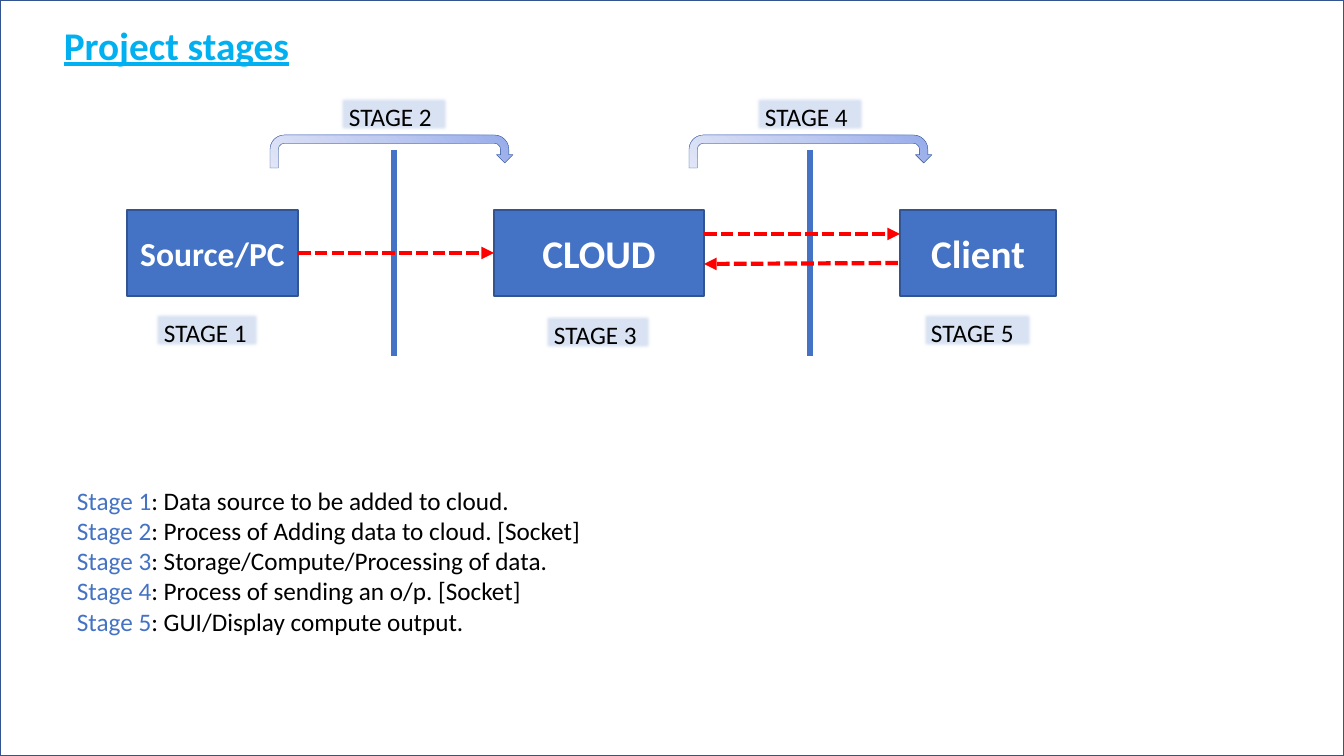
import copy
import pptx
import pptx.util
import pptx.dml.color
import pptx.enum.dml
import pptx.enum.shapes
import pptx.enum.text
import pptx.oxml.ns
import pptx.oxml.xmlchemy

RGB = pptx.dml.color.RGBColor
MSO = pptx.enum.shapes.MSO_SHAPE
ALIGN = pptx.enum.text.PP_ALIGN
ANCHOR = pptx.enum.text.MSO_ANCHOR
FIT = pptx.enum.text.MSO_AUTO_SIZE
DASH = pptx.enum.dml.MSO_LINE
Pt = pptx.util.Pt
qn = pptx.oxml.ns.qn

BLUE = RGB(0x44, 0x72, 0xC4)
NAVY = RGB(0x32, 0x54, 0x91)
SKY = RGB(0x00, 0xB0, 0xF0)
PALE = RGB(0xDA, 0xE3, 0xF3)
RED = RGB(0xFF, 0, 0)
BLACK = RGB(0, 0, 0)
WHITE = RGB(0xFF, 0xFF, 0xFF)
FADE = [(0, RGB(0x96, 0xAB, 0xEA)), (0.5, RGB(0xC0, 0xCB, 0xF0)),
        (1, RGB(0xE0, 0xE5, 0xF7))]


def px(*nums):
    """Turn pixels into EMU."""
    return [round(n * 914400 / 100.8) for n in nums]


def node(tag, **attrs):
    """Make a drawing element with the given attributes."""
    item = pptx.oxml.xmlchemy.OxmlElement(tag)
    for key, val in attrs.items():
        item.set(key, val)
    return item


class Board:
    """The slide in hand and its style."""

    font = "Calibri"

    def __init__(self, slide):
        """Keep the slide to draw on."""
        self.slide = slide

    def style(self, para, size, color, bold=False):
        """Set the font of a paragraph."""
        font = para.font
        font.name, font.size, font.bold = self.font, Pt(size), bold
        font.color.rgb = color

    def shape(self, kind, area, fill=None, line=None, width=1):
        """Add a preset shape without a shadow."""
        shape = self.slide.shapes.add_shape(kind, *px(*area))
        shape.shadow.inherit = False
        if fill is None:
            shape.fill.background()
        else:
            shape.fill.solid()
            shape.fill.fore_color.rgb = fill
        if line is None:
            shape.line.fill.background()
        else:
            shape.line.color.rgb = line
            shape.line.width = Pt(width)
        return shape

    def box(self, text, area, size):
        """Add a blue box with a bold centred name."""
        frame = self.shape(MSO.RECTANGLE, area, BLUE, NAVY).text_frame
        frame.vertical_anchor = ANCHOR.MIDDLE
        para = frame.paragraphs[0]
        para.text, para.alignment = text, ALIGN.CENTER
        self.style(para, size, WHITE, True)

    def label(self, text, area):
        """Add a pale stage label with soft edges."""
        shape = self.shape(MSO.RECTANGLE, area, PALE)
        soft = node("a:softEdge", rad="31750")
        shape._element.spPr.find(qn("a:effectLst")).append(soft)
        frame = shape.text_frame
        frame.word_wrap, frame.auto_size = True, FIT.SHAPE_TO_FIT_TEXT
        frame.vertical_anchor = ANCHOR.TOP
        para = frame.paragraphs[0]
        para.text, para.alignment = text, ALIGN.LEFT
        self.style(para, 18, BLACK)

    def turn(self, area):
        """Add a U-turn arrow that fades to its tail."""
        shape = self.shape(MSO.U_TURN_ARROW, area, line=NAVY, width=0.25)
        for i, val in enumerate((0.25, 0.25, 0.25, 0.438, 0.849)):
            shape.adjustments[i] = val
        fill = shape.fill
        fill.gradient()
        fill.gradient_angle = 225
        first = shape._element.spPr.find(".//" + qn("a:gs"))
        first.addnext(copy.deepcopy(first))
        for stop, (pos, color) in zip(fill.gradient_stops, FADE):
            stop.position, stop.color.rgb = pos, color

    def line(self, ends, color, width, arrow=False):
        """Add a line, or a dashed arrow."""
        kind = pptx.enum.shapes.MSO_CONNECTOR.STRAIGHT
        line = self.slide.shapes.add_connector(kind, *px(*ends))
        line.line.color.rgb, line.line.width = color, Pt(width)
        props = line._element.spPr
        props.append(node("a:effectLst"))
        if arrow:
            line.line.dash_style = DASH.SQUARE_DOT
            props.find(qn("a:ln")).append(node("a:tailEnd", type="triangle"))

    def text(self, area):
        """Add a text box that grows with its text."""
        frame = self.slide.shapes.add_textbox(*px(*area)).text_frame
        frame.word_wrap, frame.auto_size = False, FIT.SHAPE_TO_FIT_TEXT
        return frame

    def title(self, text, area):
        """Add the underlined title."""
        para = self.text(area).paragraphs[0]
        para.text = text
        self.style(para, 28, SKY, True)
        para.font.underline = True

    def notes(self, lines, area):
        """Add the list of numbered stages."""
        frame = self.text(area)
        for i, line in enumerate(lines):
            para = frame.add_paragraph() if i else frame.paragraphs[0]
            self.style(para, 18, BLACK)
            head = para.add_run()
            head.text = f"Stage {i + 1}"
            head.font.color.rgb = BLUE
            para.add_run().text = f": {line}"


def main():
    """Build the slide and save it."""
    deck = pptx.Presentation()
    deck.slide_width, deck.slide_height = px(1344, 756)
    board = Board(deck.slides.add_slide(deck.slide_layouts[6]))

    board.title("Project stages", (54, 16, 248, 57))
    board.shape(MSO.RECTANGLE, (0, 0, 1344, 756), line=NAVY)
    for name, left, wide, size in (("Source/PC", 127, 171, 24),
                                   ("CLOUD", 494, 210, 28),
                                   ("Client", 900, 156, 28)):
        board.box(name, (left, 210, wide, 86), size)
    for mid in (394, 810):
        board.line((mid, 150, mid, 356), BLUE, 4.5)
    for left in (270, 689):
        board.turn((left, 135, 243, 33))
    spots = ((154, 312, 107), (339, 96, 111), (544, 314, 109),
             (755, 96, 111), (921, 312, 113))
    for i, (left, top, wide) in enumerate(spots, 1):
        board.label(f"STAGE {i}", (left, top, wide, 37))
    for ends in ((298, 253, 494, 253), (704, 234, 900, 234),
                 (898, 263, 704, 264)):
        board.line(ends, RED, 3, arrow=True)
    board.notes(("Data source to be added to cloud.",
                 "Process of Adding data to cloud. [Socket]",
                 "Storage/Compute/Processing of data.",
                 "Process of sending an o/p. [Socket]",
                 "GUI/Display compute output."), (67, 480, 529, 163))
    deck.save("out.pptx")


main()
